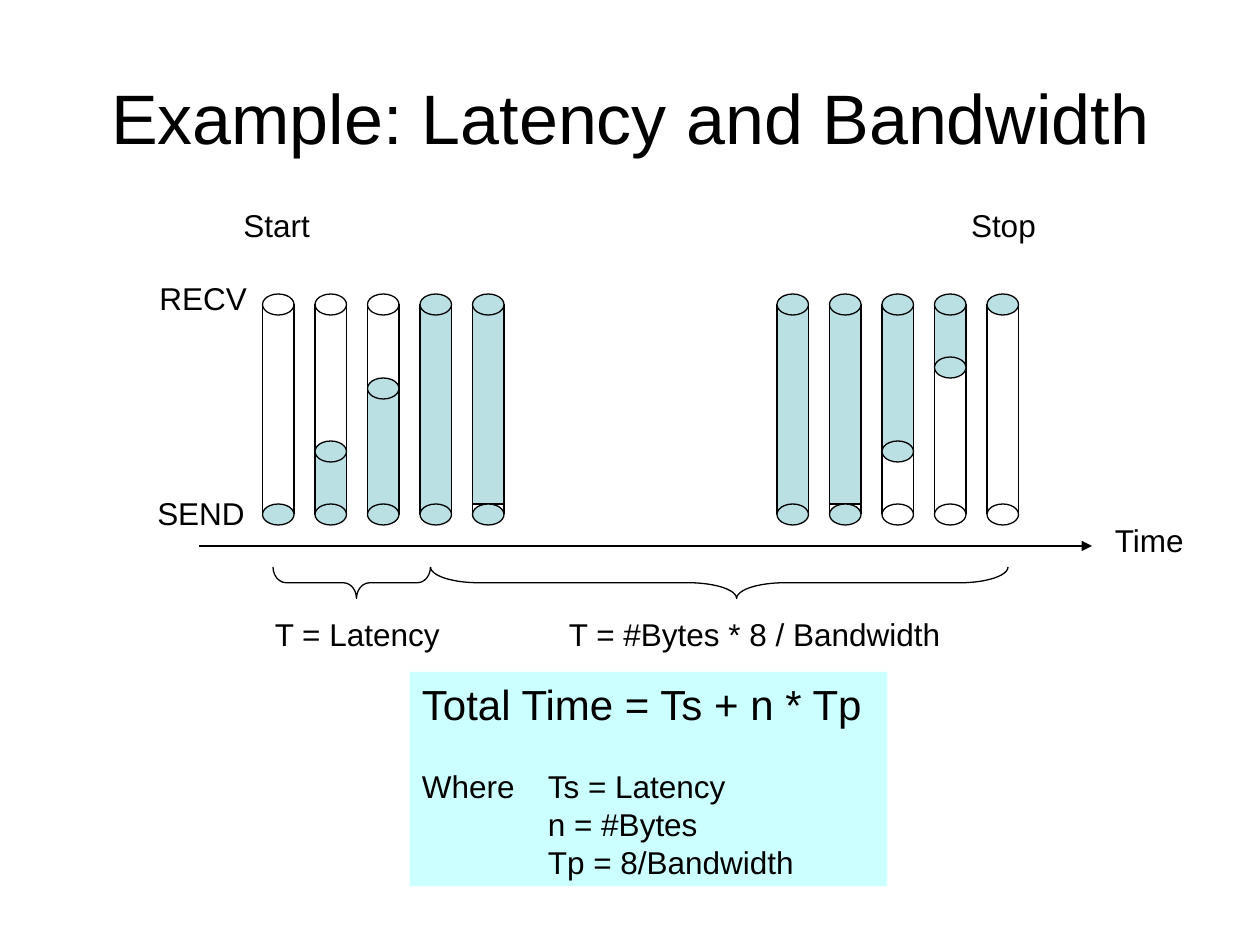
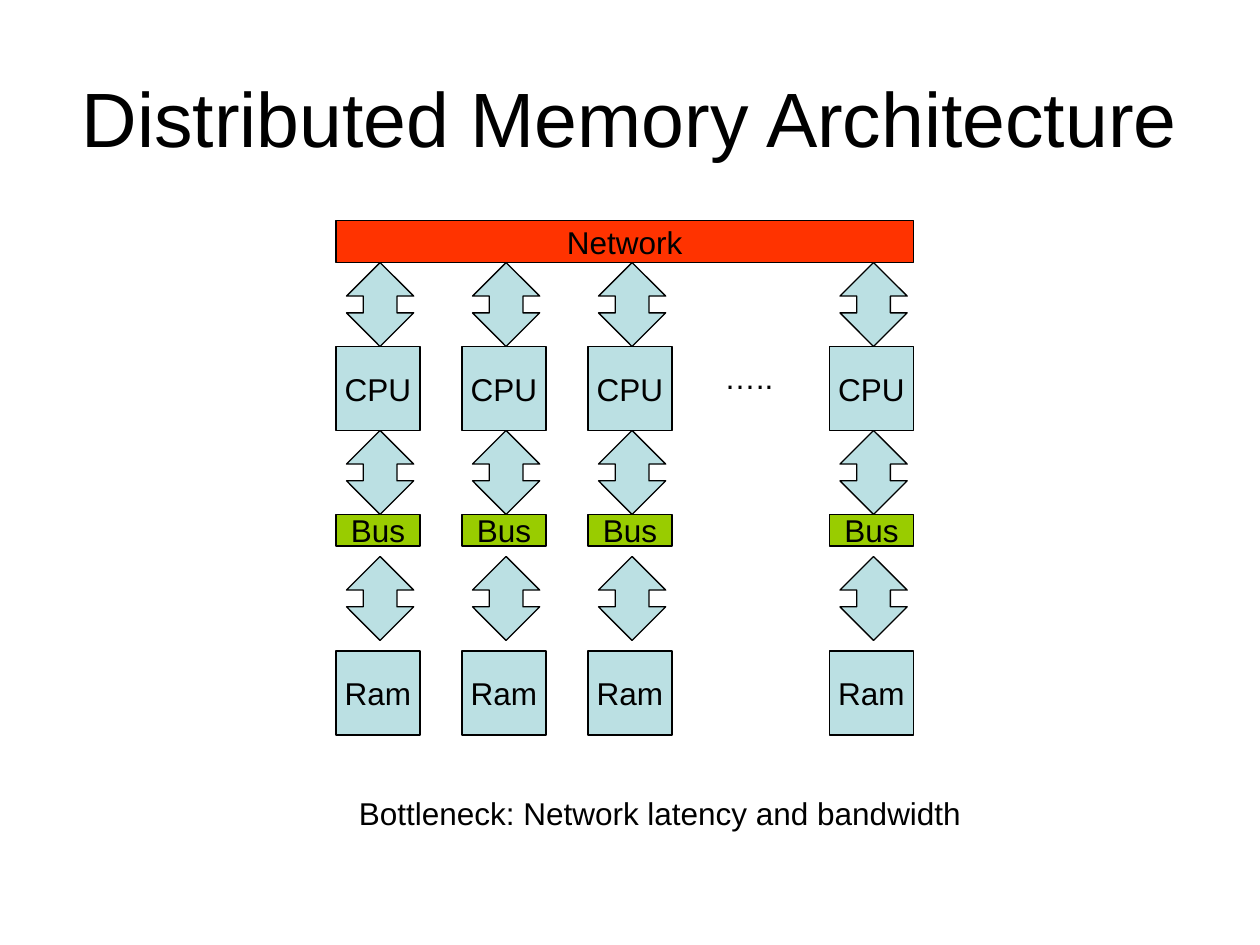
"""Build two slides on message timing and distributed memory."""
from pptx import Presentation
from pptx.dml.color import RGBColor
from pptx.enum.shapes import MSO_CONNECTOR as Link, MSO_SHAPE as Shape
from pptx.enum.text import MSO_ANCHOR as Anchor, MSO_AUTO_SIZE as AutoSize, PP_ALIGN as Align
from pptx.oxml.ns import qn
from pptx.util import Inches, Pt
from lxml.etree import SubElement

FONT = "Arial"
BLACK, WATER, PANEL = "000000", "BBE0E3", "CCFFFF"
RED, GREEN = "FF3300", "99CC00"
UNITS_PER_INCH = 12
TITLE_BOX = (6, 3.6, 108, 15)

LATENCY_TITLE = ("Example: Latency and Bandwidth", 40)
PIPE_TOP, PIPE_BOTTOM, PIPE_WIDTH, CAP_HEIGHT = 29, 49, 3, 2
PIPE_GROUPS = (25, 74)
PIPE_STEP = 5
# Each pipe: water top, water bottom, lower end of the water's body.
PIPES = (
    ((49, 49, 49), (43, 49, 49), (37, 49, 49), (29, 49, 49), (29, 49, 48)),
    ((29, 49, 49), (29, 49, 48), (29, 43, 43), (29, 35, 35), (29, 29, 29)),
)
TIME_AXIS = (19, 52, 104, 52)
BRACES = ((26, 41), (41, 96))
BRACE_TOP, BRACE_DEPTH, BRACE_POINT = 54, 3, 0.47
TIMING_LABELS = (
    ("Start", 22, 19, 10), ("Stop", 91.3, 19, 10),
    ("RECV", 14, 26, 12), ("SEND", 13.8, 46.5, 12), ("Time", 105, 49, 10),
    ("T = Latency", 25, 58, 19), ("T = #Bytes * 8 / Bandwidth", 53, 58, 39),
)
FORMULA = (
    ("Total Time = Ts + n * Tp", 24, 0), ("Where\tTs = Latency", 18, 22),
    ("\tn = #Bytes", 18, 0), ("\tTp = 8/Bandwidth", 18, 0),
)
FORMULA_BOX = (39, 64, 45.5, 20.4)

MEMORY_TITLE = ("Distributed Memory Architecture", 44)
NODE_COLUMNS = (32, 44, 56, 79)
NODE_WIDTH = 8
NODE_PARTS = (("CPU", 33, 8, WATER), ("Bus", 49, 3, GREEN), ("Ram", 62, 8, WATER))
LINK_ROWS = (25, 41, 53)
LINK_WIDTH, LINK_HEIGHT = 6.4, 8
NETWORK = ("Network", 21, 4, RED)
MEMORY_LABELS = (
    ("…..", 67.8, 33.5, 8),
    ("Bottleneck: Network latency and bandwidth", 33, 75, 61),
)


def units(*lengths):
    return [Inches(length / UNITS_PER_INCH) for length in lengths]


def color(hex_code):
    return RGBColor.from_string(hex_code)


def format_text(paragraph, size, align=Align.LEFT):
    paragraph.alignment = align
    for run in paragraph.runs:
        run.font.name, run.font.size = FONT, Pt(size)
        run.font.color.rgb = color(BLACK)


def add_titled_slide(deck, title, size):
    slide = deck.slides.add_slide(deck.slide_layouts[5])
    heading = slide.shapes.title
    heading.left, heading.top, heading.width, heading.height = units(*TITLE_BOX)
    frame = heading.text_frame
    frame.text = title
    frame.auto_size, frame.vertical_anchor = AutoSize.NONE, Anchor.MIDDLE
    format_text(frame.paragraphs[0], size, Align.CENTER)
    return slide


def outline(line):
    line.color.rgb, line.width = color(BLACK), Pt(0.75)


def add_figure(slide, kind, box, fill=None, label=None):
    figure = slide.shapes.add_shape(kind, *units(*box))
    figure.shadow.inherit = False
    if fill:
        figure.fill.solid()
        figure.fill.fore_color.rgb = color(fill)
    else:
        figure.fill.background()
    outline(figure.line)
    if label:
        frame = figure.text_frame
        frame.text = label
        frame.word_wrap, frame.vertical_anchor = False, Anchor.MIDDLE
        format_text(frame.paragraphs[0], 18, Align.CENTER)
    return figure


def add_line(slide, ends, arrow=False):
    connector = slide.shapes.add_connector(Link.STRAIGHT, *units(*ends))
    outline(connector.line)
    properties = connector._element.spPr
    if arrow:
        SubElement(properties.find(qn("a:ln")), qn("a:tailEnd"), type="triangle")
    SubElement(properties, qn("a:effectLst"))


def add_labels(slide, labels):
    for words, left, top, width in labels:
        frame = slide.shapes.add_textbox(*units(left, top, width, 4.8)).text_frame
        frame.text = words
        frame.word_wrap, frame.auto_size = True, AutoSize.NONE
        format_text(frame.paragraphs[0], 18)


def add_pipe(slide, left, water_top, water_bottom, body_bottom):
    if body_bottom > water_top:
        body = (left, water_top, PIPE_WIDTH, body_bottom - water_top)
        add_figure(slide, Shape.RECTANGLE, body, WATER)
    for side in (left, left + PIPE_WIDTH):
        add_line(slide, (side, PIPE_TOP, side, PIPE_BOTTOM))
    for level in sorted({PIPE_TOP, PIPE_BOTTOM, water_top, water_bottom}):
        cap = (left, level - CAP_HEIGHT / 2, PIPE_WIDTH, CAP_HEIGHT)
        wet = water_top <= level <= water_bottom
        add_figure(slide, Shape.OVAL, cap, WATER if wet else None)


def add_brace(slide, start, end):
    span = end - start
    left = (start + end - BRACE_DEPTH) / 2
    top = BRACE_TOP + (BRACE_DEPTH - span) / 2
    brace = add_figure(slide, Shape.RIGHT_BRACE, (left, top, BRACE_DEPTH, span))
    brace.rotation = 90
    brace.adjustments[0] = span / 12 / BRACE_DEPTH
    brace.adjustments[1] = BRACE_POINT


def add_formula(slide):
    panel = slide.shapes.add_textbox(*units(*FORMULA_BOX))
    panel.fill.solid()
    panel.fill.fore_color.rgb = color(PANEL)
    frame = panel.text_frame
    frame.word_wrap = True
    frame.text = "\n".join(words for words, _, _ in FORMULA)
    for paragraph, (_, size, gap) in zip(frame.paragraphs, FORMULA):
        format_text(paragraph, size)
        if gap:
            paragraph.space_before = Pt(gap)
        tabs = SubElement(paragraph._p.get_or_add_pPr(), qn("a:tabLst"))
        SubElement(tabs, qn("a:tab"), pos=str(Inches(1)), algn="l")


def build_latency(deck):
    slide = add_titled_slide(deck, *LATENCY_TITLE)
    for group_left, pipes in zip(PIPE_GROUPS, PIPES):
        for index, water in enumerate(pipes):
            add_pipe(slide, group_left + index * PIPE_STEP, *water)
    add_line(slide, TIME_AXIS, arrow=True)
    for start, end in BRACES:
        add_brace(slide, start, end)
    add_labels(slide, TIMING_LABELS)
    add_formula(slide)


def build_memory(deck):
    slide = add_titled_slide(deck, *MEMORY_TITLE)
    for left in NODE_COLUMNS:
        for name, top, height, fill in NODE_PARTS:
            add_figure(slide, Shape.RECTANGLE, (left, top, NODE_WIDTH, height), fill, name)
        for top in LINK_ROWS:
            link = add_figure(slide, Shape.UP_DOWN_ARROW,
                              (left + 1, top, LINK_WIDTH, LINK_HEIGHT), WATER)
            link.adjustments[0], link.adjustments[1] = 0.25, 0.5
    name, top, height, fill = NETWORK
    width = NODE_COLUMNS[-1] + NODE_WIDTH - NODE_COLUMNS[0]
    add_figure(slide, Shape.RECTANGLE, (NODE_COLUMNS[0], top, width, height), fill, name)
    add_labels(slide, MEMORY_LABELS)


def main():
    deck = Presentation()
    deck.slide_width, deck.slide_height = Inches(10), Inches(7.5)
    build_latency(deck)
    build_memory(deck)
    deck.save("out.pptx")


if __name__ == "__main__":
    main()
